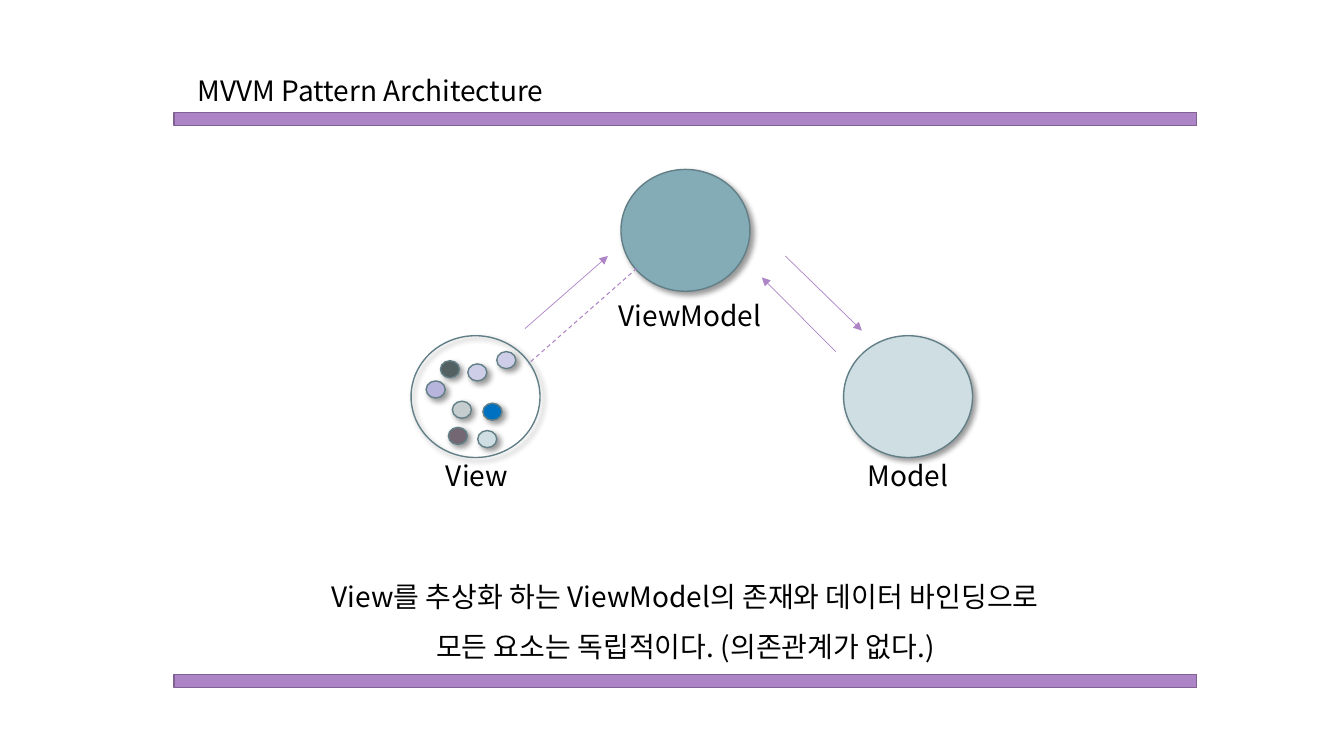
from lxml.etree import SubElement
from pptx import Presentation
from pptx.dml.color import RGBColor
from pptx.enum.dml import MSO_LINE
from pptx.enum.shapes import MSO_CONNECTOR, MSO_SHAPE
from pptx.enum.text import MSO_ANCHOR, MSO_AUTO_SIZE, PP_ALIGN
from pptx.oxml.ns import qn
from pptx.util import Cm, Pt

FONT = "Noto Sans CJK KR"
BLACK = RGBColor(0x00, 0x00, 0x00)
PURPLE = RGBColor(0xAD, 0x84, 0xC6)
DARK_PURPLE = RGBColor(0x80, 0x62, 0x92)
SLATE = RGBColor(0x62, 0x7F, 0x87)
TEAL = RGBColor(0x84, 0xAC, 0xB6)
PALE_TEAL = RGBColor(0xCE, 0xDE, 0xE2)
LAVENDER = RGBColor(0xCF, 0xCE, 0xE9)
LILAC = RGBColor(0xB7, 0xB5, 0xDD)
BLUE = RGBColor(0x00, 0x70, 0xC0)
CHARCOAL = RGBColor(0x53, 0x61, 0x62)
SILVER = RGBColor(0xC5, 0xCD, 0xCE)
MAUVE = RGBColor(0x73, 0x67, 0x73)

NODE_SIZE = (3.25, 3.07)
DOT_SIZE = (0.48, 0.43)
LABEL_HEIGHT = 1.12


class SlideBuilder:
    def __init__(self, slide, font=FONT, size=20, color=BLACK):
        self.slide = slide
        self.font = font
        self.size = Pt(size)
        self.color = color

    def _write(self, tf, lines, align, spacing=1.0, wrap=True):
        tf.word_wrap = wrap
        tf.auto_size = MSO_AUTO_SIZE.SHAPE_TO_FIT_TEXT
        tf.vertical_anchor = MSO_ANCHOR.TOP
        for i, line in enumerate(lines):
            p = tf.add_paragraph() if i else tf.paragraphs[0]
            p.alignment = align
            p.line_spacing = spacing
            r = p.add_run()
            r.text = line
            r.font.name = self.font
            r.font.size = self.size
            r.font.color.rgb = self.color
            SubElement(r.font._element, qn("a:ea"), typeface=self.font)

    def title(self, text, x, y, w, h):
        sp = self.slide.shapes.title
        sp.left, sp.top, sp.width, sp.height = Cm(x), Cm(y), Cm(w), Cm(h)
        self._write(sp.text_frame, [text], PP_ALIGN.LEFT, wrap=False)

    def text(self, lines, x, y, w, h, align=PP_ALIGN.CENTER, spacing=1.0):
        sp = self.slide.shapes.add_textbox(Cm(x), Cm(y), Cm(w), Cm(h))
        self._write(sp.text_frame, lines, align, spacing)

    def _shape(self, kind, x, y, w, h, fill, line):
        sp = self.slide.shapes.add_shape(kind, Cm(x), Cm(y), Cm(w), Cm(h))
        sp.shadow.inherit = False
        if fill is None:
            sp.fill.background()
        else:
            sp.fill.solid()
            sp.fill.fore_color.rgb = fill
        sp.line.color.rgb = line
        sp.line.width = Pt(1)
        return sp

    def bar(self, y):
        self._shape(MSO_SHAPE.RECTANGLE, 4.39, y, 25.76, 0.33, PURPLE, DARK_PURPLE)

    def circle(self, x, y, size, fill=None):
        """Draw an ellipse with a soft shadow to the lower right."""
        sp = self._shape(MSO_SHAPE.OVAL, x, y, *size, fill, SLATE)
        effects = sp._element.spPr.find(qn("a:effectLst"))
        shadow = SubElement(effects, qn("a:outerShdw"), blurRad=str(Pt(4)),
                            dist=str(Pt(3)), dir="2700000", algn="tl",
                            rotWithShape="0")
        color = SubElement(shadow, qn("a:srgbClr"), val="000000")
        SubElement(color, qn("a:alpha"), val="40000")

    def connector(self, start, end, width=0.5, dashed=False):
        """Draw an arrow, or a plain dashed line."""
        cxn = self.slide.shapes.add_connector(
            MSO_CONNECTOR.STRAIGHT, *map(Cm, start), *map(Cm, end))
        cxn.line.color.rgb = PURPLE
        cxn.line.width = Pt(width)
        if dashed:
            cxn.line.dash_style = MSO_LINE.DASH
        else:
            SubElement(cxn.line._get_or_add_ln(), qn("a:tailEnd"), type="triangle")
        SubElement(cxn._element.spPr, qn("a:effectLst"))


def main():
    prs = Presentation()
    prs.slide_width, prs.slide_height = Cm(33.87), Cm(19.05)
    s = SlideBuilder(prs.slides.add_slide(prs.slide_layouts[5]))

    s.title("MVVM Pattern Architecture", 4.72, 1.73, 9.4, LABEL_HEIGHT)
    for y in (2.84, 16.99):
        s.bar(y)

    for x, y, fill in ((10.36, 8.46, None), (15.65, 4.27, TEAL),
                       (21.26, 8.46, PALE_TEAL)):
        s.circle(x, y, NODE_SIZE, fill)

    view_elements = (
        (12.52, 8.86, LAVENDER), (12.17, 10.16, BLUE),
        (11.1, 9.09, CHARCOAL), (11.4, 10.11, SILVER),
        (11.3, 10.77, MAUVE), (10.74, 9.6, LILAC),
        (11.79, 9.17, LAVENDER), (12.04, 10.85, PALE_TEAL),
    )
    for x, y, fill in view_elements:
        s.circle(x, y, DOT_SIZE, fill)

    for name, x, y, w, align in (
            ("View", 10.9, 11.43, 2.24, PP_ALIGN.CENTER),
            ("Model", 21.44, 11.43, 2.87, PP_ALIGN.CENTER),
            ("ViewModel", 15.34, 7.39, 4.62, PP_ALIGN.LEFT)):
        s.text([name], x, y, w, LABEL_HEIGHT, align)

    for start, end in (((13.23, 8.28), (15.32, 6.45)),
                       ((19.79, 6.45), (21.72, 8.33)),
                       ((21.06, 8.86), (19.2, 6.99))):
        s.connector(start, end)
    s.connector((16.05, 6.76), (13.31, 9.17), width=0.75, dashed=True)

    s.text(["View를 추상화 하는 ViewModel의 존재와 데이터 바인딩으로",
            "모든 요소는 독립적이다. (의존관계가 없다.)"],
           5.61, 14.05, 23.32, 2.67, spacing=1.5)

    prs.save("out.pptx")


if __name__ == "__main__":
    main()
